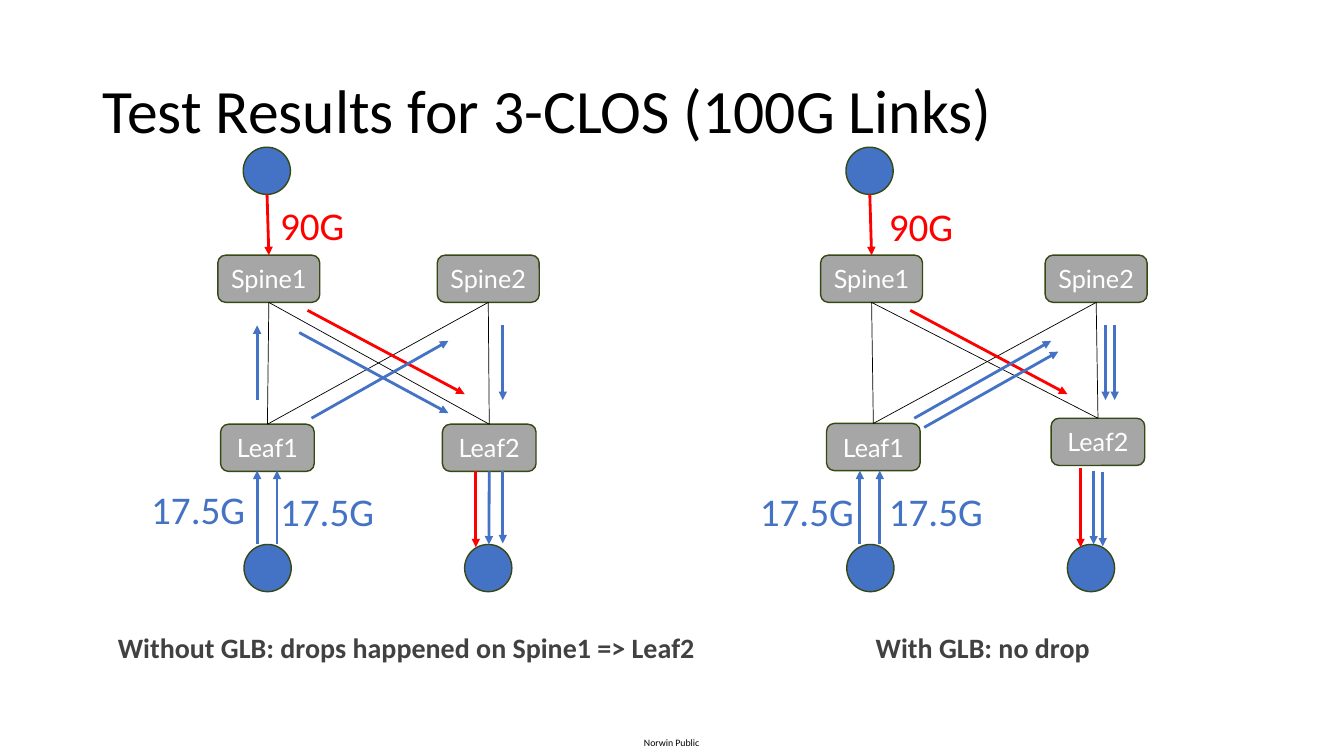
import pptx
import pptx.util
import pptx.dml.color
import pptx.enum.shapes
import pptx.enum.text
from lxml import etree
from pptx.oxml.ns import qn

Cm = pptx.util.Cm
Pt = pptx.util.Pt
RGBColor = pptx.dml.color.RGBColor
SHAPE = pptx.enum.shapes.MSO_SHAPE
ALIGN = pptx.enum.text.PP_ALIGN
ANCHOR = pptx.enum.text.MSO_ANCHOR

BLACK = RGBColor(0x00, 0x00, 0x00)
WHITE = RGBColor(0xFF, 0xFF, 0xFF)
GRAY = RGBColor(0xA6, 0xA6, 0xA6)
DARK = RGBColor(0x41, 0x41, 0x41)
EDGE = RGBColor(0x36, 0x49, 0x15)
BLUE = RGBColor(0x44, 0x72, 0xC4)
RED = RGBColor(0xFF, 0x00, 0x00)

SIDE = 1.19      # height of a box, diameter of a host
SHIFT = 15.19    # from the left panel to the right one


def style(para, text, size, color, font="Calibri", bold=False):
    para.text = text
    para.font.name = font
    para.font.size = Pt(size)
    para.font.bold = bold
    para.font.color.rgb = color


def label(shapes, text, x, y, wide, high, size, color, bold=False):
    box = shapes.add_textbox(Cm(x), Cm(y), Cm(wide), Cm(high))
    frame = box.text_frame
    frame.word_wrap = False
    frame.margin_left = frame.margin_right = 0
    frame.margin_top = frame.margin_bottom = 0
    style(frame.paragraphs[0], text, size, color, bold=bold)


def solid(shapes, kind, x, y, wide, fill):
    shape = shapes.add_shape(kind, Cm(x), Cm(y), Cm(wide), Cm(SIDE))
    shape.shadow.inherit = False
    shape.fill.solid()
    shape.fill.fore_color.rgb = fill
    shape.line.color.rgb = EDGE
    shape.line.width = Pt(1)
    return shape


def node(shapes, name, x, y, wide):
    box = solid(shapes, SHAPE.ROUNDED_RECTANGLE, x, y, wide, GRAY)
    box.text_frame.vertical_anchor = ANCHOR.MIDDLE
    para = box.text_frame.paragraphs[0]
    style(para, name, 18, WHITE, "Lato")
    para.alignment = ALIGN.CENTER
    return box


def line(shapes, ends, color, width):
    wire = shapes.add_connector(
        pptx.enum.shapes.MSO_CONNECTOR.STRAIGHT, *[Cm(end) for end in ends])
    wire.line.color.rgb = color
    wire.line.width = Pt(width)
    etree.SubElement(wire._element.spPr, qn("a:effectLst"))
    return wire


def arrow(shapes, ends, color):
    wire = line(shapes, ends, color, 2)
    tail = etree.SubElement(wire.line._get_or_add_ln(), qn("a:tailEnd"))
    tail.set("type", "triangle")
    return wire


def panel(shapes, dx, spines, leaves, flows):
    # Switches and hosts
    tops = [node(shapes, f"Spine{i}", x, 6.43, 2.57)
            for i, x in enumerate(spines, 1)]
    lows = [node(shapes, f"Leaf{i}", x, y, 2.36)
            for i, (x, y) in enumerate(leaves, 1)]
    for x, y in ((6.13, 3.71), (6.15, 13.72), (11.71, 13.72)):
        solid(shapes, SHAPE.OVAL, x + dx, y, SIDE, BLUE)

    # Every spine links to every leaf
    for top in tops:
        for low in lows:
            link = line(shapes, (0, 0, 0, 0), BLACK, 0.5)
            link.begin_connect(top, 2)
            link.end_connect(low, 0)

    # Flows found in both panels
    feed = arrow(shapes, (6.73 + dx, 4.9, 6.77 + dx, 6.43), RED)
    feed.end_connect(tops[0], 0)
    arrow(shapes, (7.75 + dx, 7.82, 11.71 + dx, 9.93), RED)
    arrow(shapes, (7.85 + dx, 10.54, 11.3 + dx, 8.59), BLUE)
    for x in (6.48, 6.98):
        arrow(shapes, (x + dx, 13.72, x + dx, 11.86), BLUE)

    # Flows of this panel only
    for color, *ends in flows:
        arrow(shapes, ends, color)
    return lows


def main():
    deck = pptx.Presentation()
    deck.slide_width, deck.slide_height = Cm(33.87), Cm(19.05)
    shapes = deck.slides.add_slide(deck.slide_layouts[6]).shapes

    # Title and footer
    title = shapes.add_textbox(Cm(2.34), Cm(1.02), Cm(29.21), Cm(3.68))
    title.text_frame.word_wrap = True
    title.text_frame.vertical_anchor = ANCHOR.MIDDLE
    para = title.text_frame.paragraphs[0]
    style(para, "Test Results for 3-CLOS (100G Links)", 44, BLACK)
    para.line_spacing = 0.9
    label(shapes, "Norwin Public", 16.23, 18.57, 1.45, 0.3, 7, BLACK)

    # Left panel: without GLB
    lows = panel(shapes, 0, (5.49, 11.02), ((5.56, 10.69), (11.15, 10.69)), (
        (BLUE, 6.48, 10.08, 6.48, 8.2),
        (BLUE, 7.54, 8.38, 11.3, 10.41),
        (BLUE, 12.67, 8.2, 12.67, 10.08),
        (RED, 11.99, 11.88, 11.99, 13.79),
        (BLUE, 12.67, 11.88, 12.67, 13.69)))
    exit = arrow(shapes, (12.32, 11.88, 12.32, 13.72), BLUE)
    exit.begin_connect(lows[1], 2)

    # Right panel: with GLB
    panel(shapes, SHIFT, (20.68, 26.34), ((20.83, 10.67), (26.49, 10.54)), (
        (BLUE, 23.29, 10.77, 26.67, 8.86),
        (BLUE, 27.86, 8.2, 27.86, 10.08),
        (BLUE, 28.09, 8.2, 28.09, 10.08),
        (RED, 27.23, 11.79, 27.23, 13.79),
        (BLUE, 27.56, 11.86, 27.56, 13.72),
        (BLUE, 27.79, 11.89, 27.79, 13.77)))

    # Rates
    for x, y in ((7.06, 5.08), (22.4, 5.11)):
        label(shapes, "90G", x, y, 1.65, SIDE, 28, RED)
    for x, y in ((3.81, 12.22), (7.06, 12.27), (19.15, 12.27), (22.4, 12.27)):
        label(shapes, "17.5G", x, y, 2.41, SIDE, 28, BLUE)

    # Captions
    for text, x, wide in (
            ("Without GLB: drops happened on Spine1 => Leaf2", 2.97, 14.68),
            ("With GLB: no drop", 22.07, 5.44)):
        label(shapes, text, x, 15.88, wide, 0.86, 20, DARK, True)

    deck.save("out.pptx")


if __name__ == "__main__":
    main()
